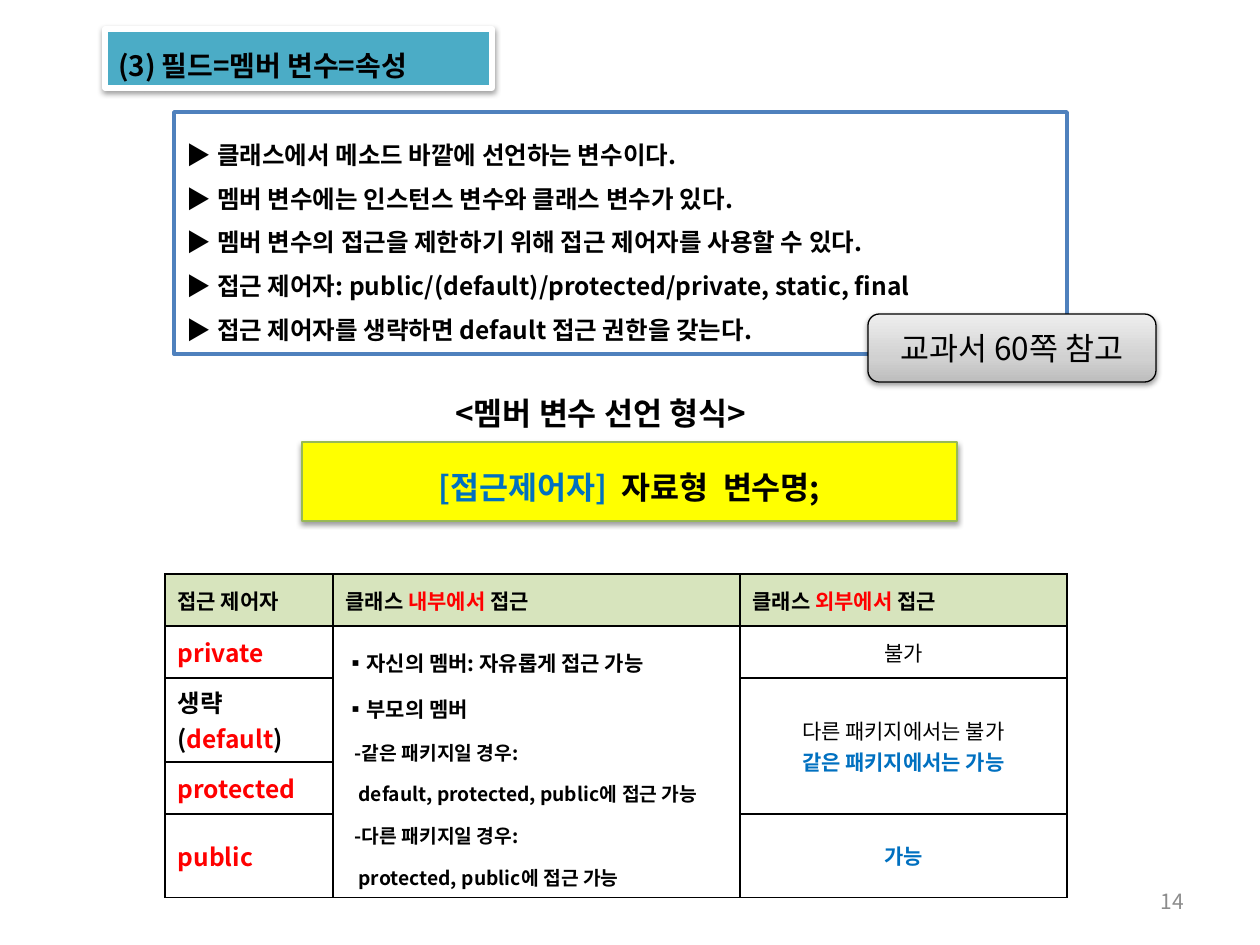
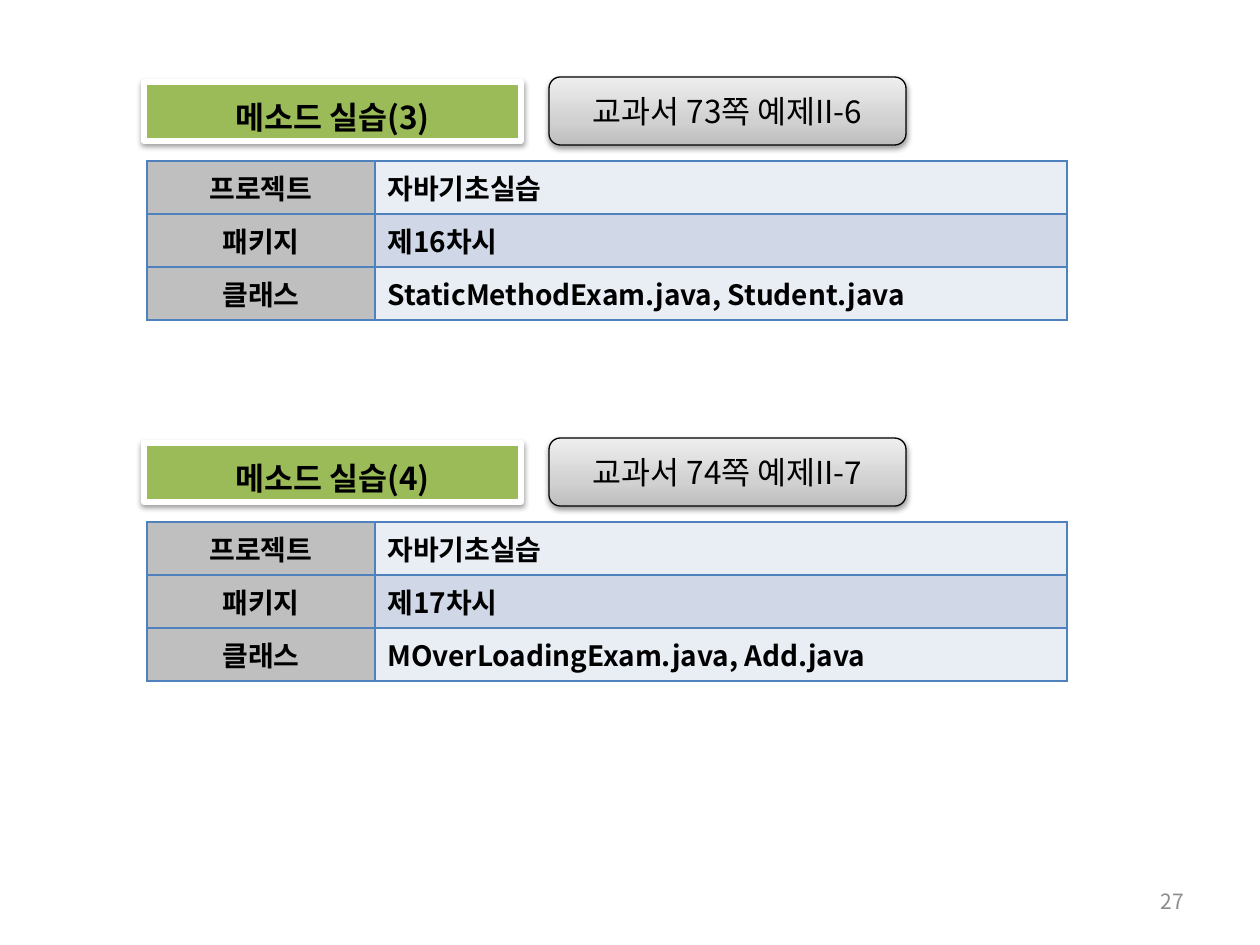
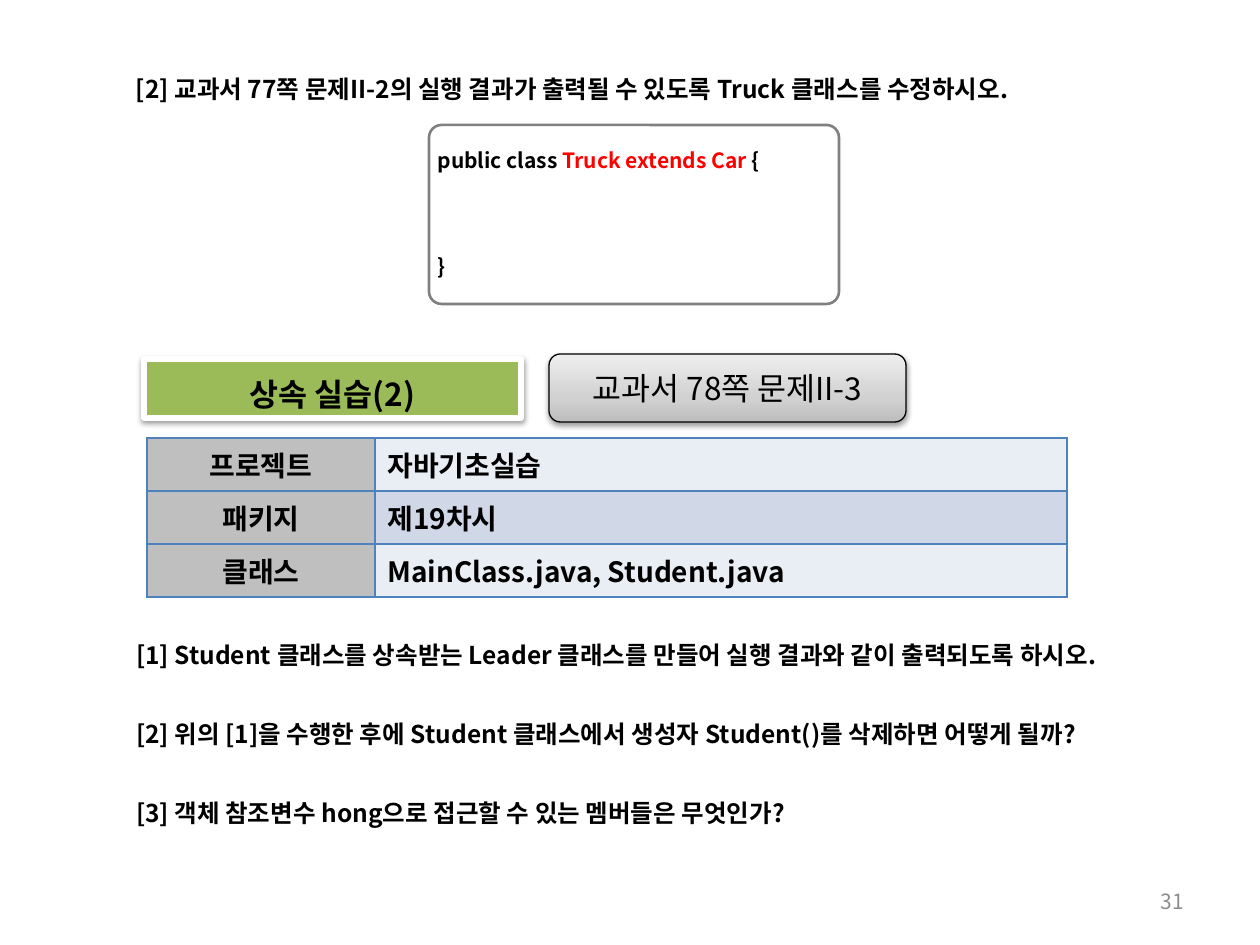
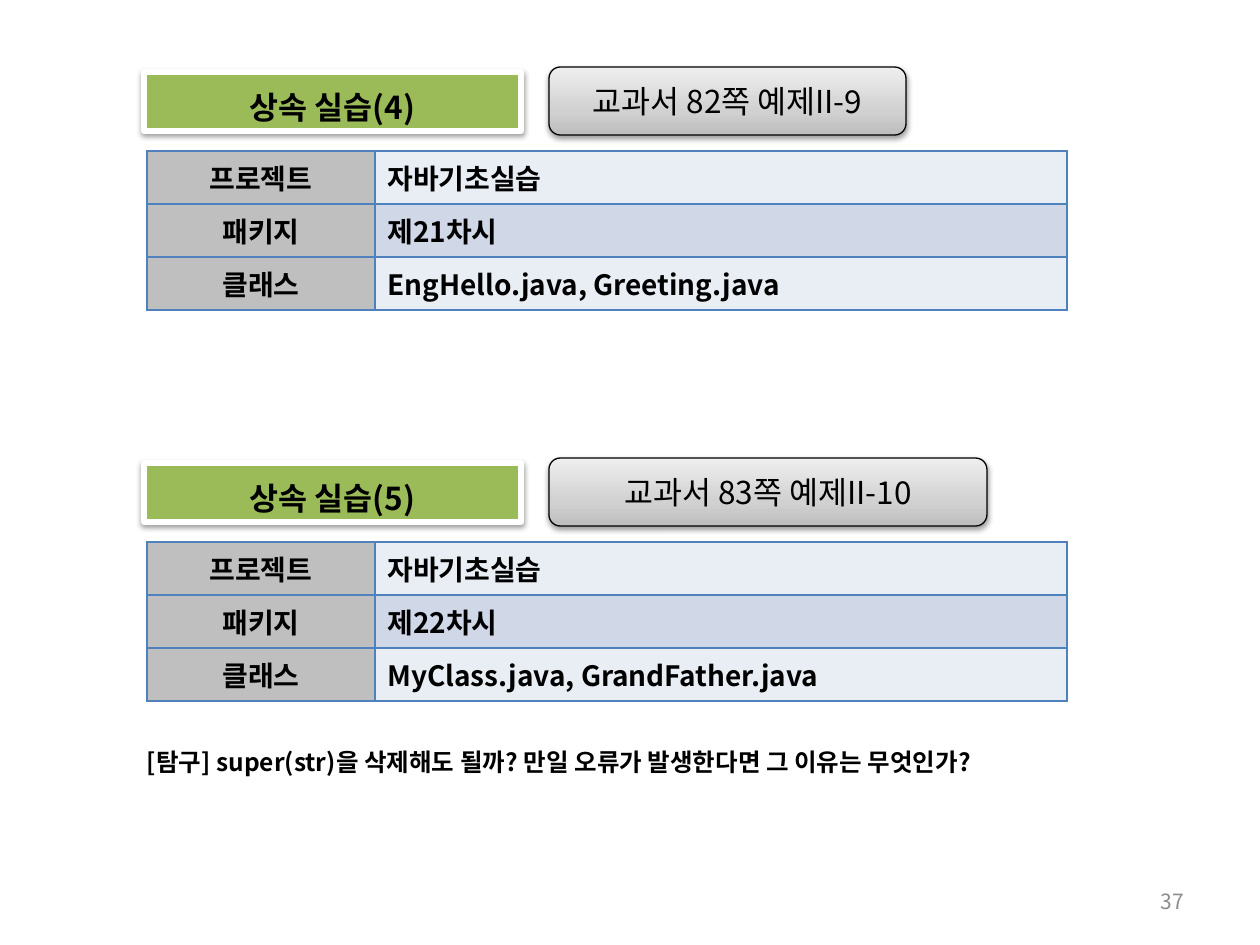
from lxml.etree import SubElement
from pptx import Presentation
from pptx.dml.color import RGBColor
from pptx.enum.shapes import MSO_SHAPE as Shape
from pptx.enum.text import MSO_ANCHOR as Anchor, MSO_AUTO_SIZE as AutoSize, PP_ALIGN as Align
from pptx.oxml.ns import qn
from pptx.util import Emu, Pt

SCALE = 914400 / 126
FONT = "Noto Sans CJK KR"
COLORS = {
    "black": "000000", "white": "FFFFFF", "red": "FF0000", "blue": "0070C0",
    "teal": "4BACC6", "green": "9BBB59", "olive": "98B955", "yellow": "FFFF00",
    "frame": "4F81BD", "gray": "808080", "number": "8C8C8C", "label": "BFBFBF",
    "header": "D7E4BD", "light": "E9EDF4", "band": "D0D8E8",
    "badge low": "BDBDBD", "badge mid": "D1D1D1", "badge high": "EEEEEE",
}
BADGE_STOPS = ((0, "badge low"), (35, "badge mid"), (100, "badge high"))
INSETS = (13, 10, 13, 6)
CENTER = {"alignment": Align.CENTER}
FIXED = {"line_spacing": Pt(25)}
LOOSE = {"line_spacing": 1.5}


def px(length):
    """Turn pixels into EMU."""
    return Emu(round(length * SCALE))


def rgb(name):
    """Look up a named colour."""
    return RGBColor.from_string(COLORS[name])


def write(frame, lines, look=None, form=None):
    """Write lines into a text frame.

    A line is a list of spans or (spans, own paragraph format); a span is
    a string or (string, own font format).
    """
    for index, line in enumerate(lines):
        spans, own_form = line if isinstance(line, tuple) else (line, {})
        para = frame.add_paragraph() if index else frame.paragraphs[0]
        for key, value in {**(form or {}), **own_form}.items():
            if key in ("marL", "indent"):
                para._p.get_or_add_pPr().set(key, str(px(value)))
            else:
                setattr(para, key, value)
        for item in spans:
            words, own_look = item if isinstance(item, tuple) else (item, {})
            style = {"size": 14, "bold": False, "color": "black", **(look or {}), **own_look}
            span = para.add_run()
            span.text = words
            for key, value in {"name": FONT, "size": Pt(style["size"]), "bold": style["bold"]}.items():
                setattr(span.font, key, value)
            span.font.color.rgb = rgb(style["color"])
            SubElement(span._r.get_or_add_rPr(), qn("a:ea"), typeface=FONT)


def set_frame(frame, insets=INSETS, anchor=Anchor.MIDDLE):
    """Set the wrapping, insets and anchor of a text frame."""
    left, top, right, bottom = map(px, insets)
    values = {
        "word_wrap": True, "auto_size": AutoSize.NONE, "vertical_anchor": anchor,
        "margin_left": left, "margin_top": top, "margin_right": right, "margin_bottom": bottom,
    }
    for key, value in values.items():
        setattr(frame, key, value)


def paint(shape, fill=None, line=None, width=1, shadow=False):
    """Set the fill, outline and soft drop shadow of a shape."""
    if fill:
        shape.fill.solid()
        shape.fill.fore_color.rgb = rgb(fill)
    else:
        shape.fill.background()
    if line:
        shape.line.color.rgb = rgb(line)
        shape.line.width = Pt(width)
    else:
        shape.line.fill.background()
    shape.shadow.inherit = False
    if shadow:
        effects = shape._element.spPr.find(qn("a:effectLst"))
        drop = SubElement(effects, qn("a:outerShdw"), blurRad="40000", dist="20000",
                          dir="5400000", rotWithShape="0")
        SubElement(SubElement(drop, qn("a:srgbClr"), val=COLORS["black"]), qn("a:alpha"), val="38000")


def add_panel(page, box, lines, look=None, form=None, kind=Shape.FLOWCHART_PROCESS,
              insets=INSETS, anchor=Anchor.MIDDLE, **colors):
    """Add a shape with text and return it."""
    shape = page.shapes.add_shape(kind, *map(px, box))
    paint(shape, **colors)
    set_frame(shape.text_frame, insets, anchor)
    write(shape.text_frame, lines, look, form)
    return shape


def add_banner(page, box, words, fill, size=18, align=Align.CENTER):
    """Add a banner; the first one on a slide is its title placeholder."""
    look = {"size": size, "bold": True}
    form = {**FIXED, "alignment": align}
    style = {"fill": fill, "line": "white", "width": 3, "shadow": True}
    title = page.shapes.title
    if title.has_text_frame and title.text_frame.text:
        add_panel(page, box, [[words]], look, form, **style)
        return
    for key, value in zip(("left", "top", "width", "height"), box):
        setattr(title, key, px(value))
    paint(title, **style)
    set_frame(title.text_frame)
    write(title.text_frame, [[words]], look, form)


def add_badge(page, box, words):
    """Add a rounded gray badge with a textbook reference."""
    badge = add_panel(page, box, [[words]], {"size": 18}, CENTER, kind=Shape.ROUNDED_RECTANGLE,
                      insets=(13, 6, 13, 6), line="black", width=0.75, shadow=True)
    badge.fill.gradient()
    badge.fill.gradient_angle = 90
    stops = badge._element.spPr.find(qn("a:gradFill")).find(qn("a:gsLst"))
    for stop in list(stops):
        stops.remove(stop)
    for place, name in BADGE_STOPS:
        stop = SubElement(stops, qn("a:gs"), pos=str(place * 1000))
        SubElement(stop, qn("a:srgbClr"), val=COLORS[name])


def add_grid(page, left, top, widths, heights, line):
    """Add a table with one border colour and no fills, and return it."""
    table = page.shapes.add_table(len(heights), len(widths), px(left), px(top),
                                  px(sum(widths)), px(sum(heights))).table
    table.first_row = table.horz_banding = False
    for column, width in zip(table.columns, widths):
        column.width = px(width)
    for row, height in zip(table.rows, heights):
        row.height = px(height)
    for cell in table.iter_cells():
        props = cell._tc.get_or_add_tcPr()
        for side in ("lnL", "lnR", "lnT", "lnB"):
            border = SubElement(props, qn("a:" + side), w=str(Pt(1)))
            SubElement(SubElement(border, qn("a:solidFill")), qn("a:srgbClr"), val=COLORS[line])
        cell.fill.background()
    return table


def fill_cell(cell, lines, look, form=None, fill=None, anchor=Anchor.MIDDLE):
    """Write and colour one table cell."""
    cell.vertical_anchor = anchor
    if fill:
        cell.fill.solid()
        cell.fill.fore_color.rgb = rgb(fill)
    write(cell.text_frame, lines, look, form)


def add_practice(page, top, heading, reference, lesson, classes, badge_width=357):
    """Add a practice block: banner, badge and project table."""
    add_banner(page, (144, top, 377, 59), heading, "green")
    rows = (("프로젝트", "자바기초실습"), ("패키지", lesson), ("클래스", classes))
    table = add_grid(page, 147, top + 79, (228, 692), (53,) * 3, "frame")
    look = {"size": 16, "bold": True}
    for index, (label, value) in enumerate(rows):
        fill_cell(table.cell(index, 0), [[label]], look, CENTER, "label", Anchor.TOP)
        fill_cell(table.cell(index, 1), [[value]], look, None,
                  "band" if index % 2 else "light", Anchor.TOP)
    add_badge(page, (549, top - 5, badge_width, 68), reference)


def add_question(page, box, words, hang=28, spacing=1.5):
    """Add one bold question line with a hanging indent."""
    form = {"marL": hang, "indent": -hang, "line_spacing": spacing, "alignment": Align.LEFT}
    add_panel(page, box, [[words]], {"bold": True}, form)


def add_access_table(page, left, top):
    """Add the table of access modifiers."""
    table = add_grid(page, left, top, (168, 407, 327), (52,) * 5, "black")
    table.cell(1, 1).merge(table.cell(4, 1))
    table.cell(2, 2).merge(table.cell(3, 2))
    red, plain = {"color": "red"}, {"bold": False}
    small, strong = {"size": 12, "bold": True}, {"bold": True}
    headers = (["접근 제어자"], ["클래스 ", ("내부에서", red), " 접근"],
               ["클래스 ", ("외부에서", red), " 접근"])
    for index, spans in enumerate(headers):
        fill_cell(table.cell(0, index), [spans], small, fill="header")
    modifiers = ([("private", red)], ["생략(", ("default", red), ")"],
                 [("protected", red)], [("public", red)])
    for index, spans in enumerate(modifiers, 1):
        fill_cell(table.cell(index, 0), [spans], strong)
    inside = [[("▪", plain), words] for words in ("자신의 멤버: 자유롭게 접근 가능", "부모의 멤버")]
    cases = (("같은", "default, protected, public에 접근 가능"),
             ("다른", "protected, public에 접근 가능"))
    for package, members in cases:
        inside.append(([(f"-{package} 패키지일 경우:", {"size": 11})], {"marL": 9}))
        inside.append(([(members, {"size": 11})], {"marL": 13}))
    fill_cell(table.cell(1, 1), inside, small, LOOSE)
    allowed = {"color": "blue", "bold": True}
    outside = {1: [["불가"]], 2: [["다른 패키지에서는 불가"], [("같은 패키지에서는 가능", allowed)]],
               4: [[("가능", allowed)]]}
    for index, lines in outside.items():
        fill_cell(table.cell(index, 2), lines, {"size": 12}, CENTER)


def add_page(deck, number):
    """Add a title-only slide with its page number."""
    page = deck.slides.add_slide(deck.slide_layouts[5])
    box = page.shapes.add_textbox(*map(px, (903, 876, 294, 50)))
    set_frame(box.text_frame, (13, 6, 13, 6))
    write(box.text_frame, [[str(number)]], {"size": 12, "color": "number"},
          {"alignment": Align.RIGHT})
    return page


def build_fields(deck):
    """Build the slide about fields and access modifiers."""
    page = add_page(deck, 14)
    add_banner(page, (105, 29, 387, 59), "(3) 필드=멤버 변수=속성", "teal", 16, Align.LEFT)
    bold = {"size": 18, "bold": True}
    add_panel(page, (302, 442, 655, 79),
              [[("[접근제어자]  ", {"color": "blue"}), "자료형  변수명;"]], bold,
              {**FIXED, **CENTER}, fill="yellow", line="olive", width=0.75, shadow=True)
    facts = (
        "클래스에서 메소드 바깥에 선언하는 변수이다.",
        "멤버 변수에는 인스턴스 변수와 클래스 변수가 있다.",
        "멤버 변수의 접근을 제한하기 위해 접근 제어자를 사용할 수 있다.",
        "접근 제어자: public/(default)/protected/private, static, final",
        "접근 제어자를 생략하면 default 접근 권한을 갖는다.",
    )
    add_panel(page, (174, 112, 893, 242), [["▶ ", (fact, {"bold": True})] for fact in facts],
              None, {**FIXED, "alignment": Align.LEFT}, fill="white", line="frame", width=2)
    add_badge(page, (868, 314, 288, 68), "교과서 60쪽 참고")
    add_panel(page, (382, 383, 437, 49), [["<멤버 변수 선언 형식>"]], bold, {**FIXED, **CENTER})
    add_access_table(page, 165, 574)


def build_methods(deck):
    """Build the slide with two method practices."""
    page = add_page(deck, 27)
    add_practice(page, 82, "메소드 실습(3)", "교과서 73쪽 예제II-6", "제16차시",
                 "StaticMethodExam.java, Student.java")
    add_practice(page, 443, "메소드 실습(4)", "교과서 74쪽 예제II-7", "제17차시",
                 "MOverLoadingExam.java, Add.java")


def build_truck(deck):
    """Build the slide with the Truck class and its questions."""
    page = add_page(deck, 31)
    add_question(page, (123, 55, 1047, 49),
                 "[2] 교과서 77쪽 문제II-2의 실행 결과가 출력될 수 있도록 Truck 클래스를 수정하시오.")
    code = [["public class ", ("Truck extends Car ", {"color": "red"}), "{"],
            (["}"], {"space_before": Pt(39)})]
    panel = add_panel(page, (429, 125, 410, 179), code, {"size": 12, "bold": True},
                      {**LOOSE, "alignment": Align.LEFT}, Shape.ROUNDED_RECTANGLE,
                      (5, 6, 0, 6), Anchor.TOP, line="gray", width=1.5)
    panel.adjustments[0] = 0.07
    add_practice(page, 359, "상속 실습(2)", "교과서 78쪽 문제II-3", "제19차시",
                 "MainClass.java, Student.java")
    questions = (
        "[1] Student 클래스를 상속받는 Leader 클래스를 만들어 실행 결과와 같이 출력되도록 하시오.",
        "[2] 위의 [1]을 수행한 후에 Student 클래스에서 생성자 Student()를 삭제하면 어떻게 될까?",
        "[3] 객체 참조변수 hong으로 접근할 수 있는 멤버들은 무엇인가?",
    )
    for index, words in enumerate(questions):
        add_question(page, (123, 621 + 79 * index, 1062, 49), words)


def build_inheritance(deck):
    """Build the slide with two inheritance practices."""
    page = add_page(deck, 37)
    add_practice(page, 72, "상속 실습(4)", "교과서 82쪽 예제II-9", "제21차시",
                 "EngHello.java, Greeting.java")
    add_practice(page, 463, "상속 실습(5)", "교과서 83쪽 예제II-10", "제22차시",
                 "MyClass.java, GrandFather.java", 438)
    add_question(page, (134, 731, 932, 49),
                 "[탐구] super(str)을 삭제해도 될까? 만일 오류가 발생한다면 그 이유는 무엇인가?",
                 87, Pt(22))


deck = Presentation()
deck.slide_width, deck.slide_height = px(1260), px(945)
for build in (build_fields, build_methods, build_truck, build_inheritance):
    build(deck)
deck.save("out.pptx")
